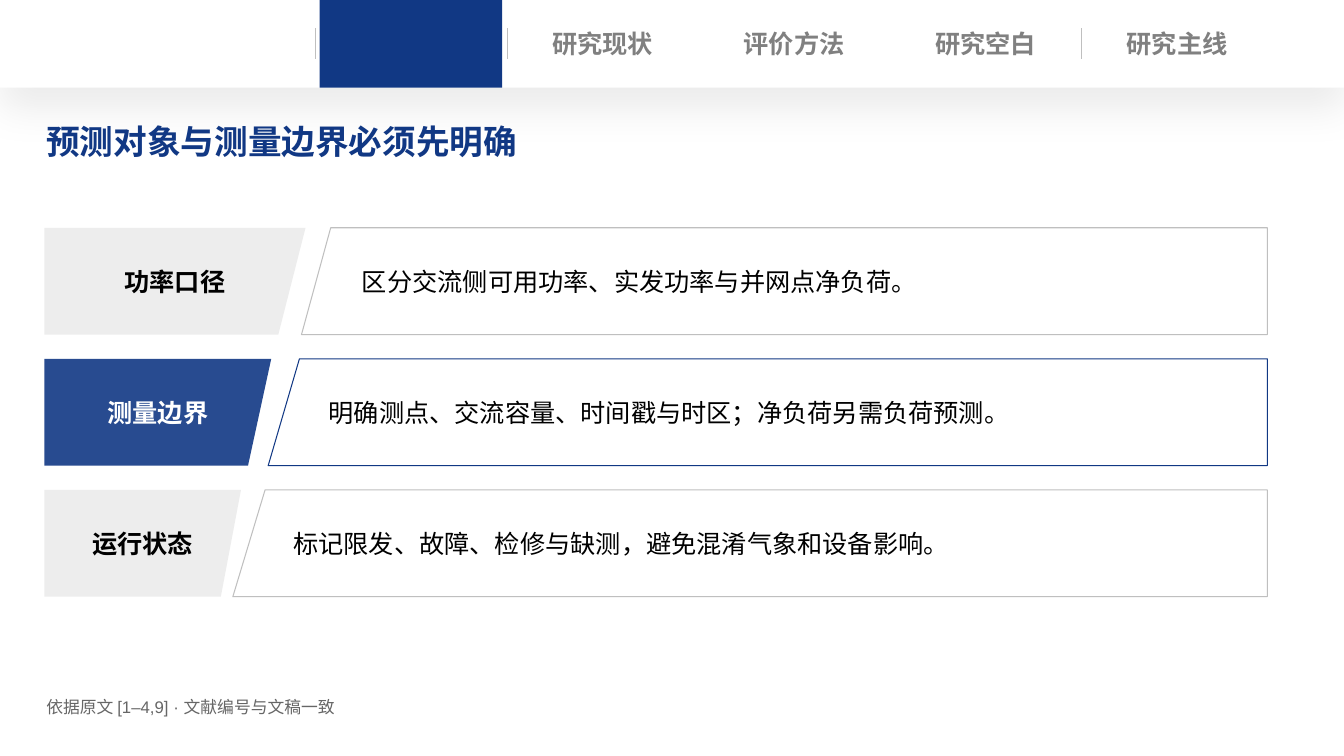
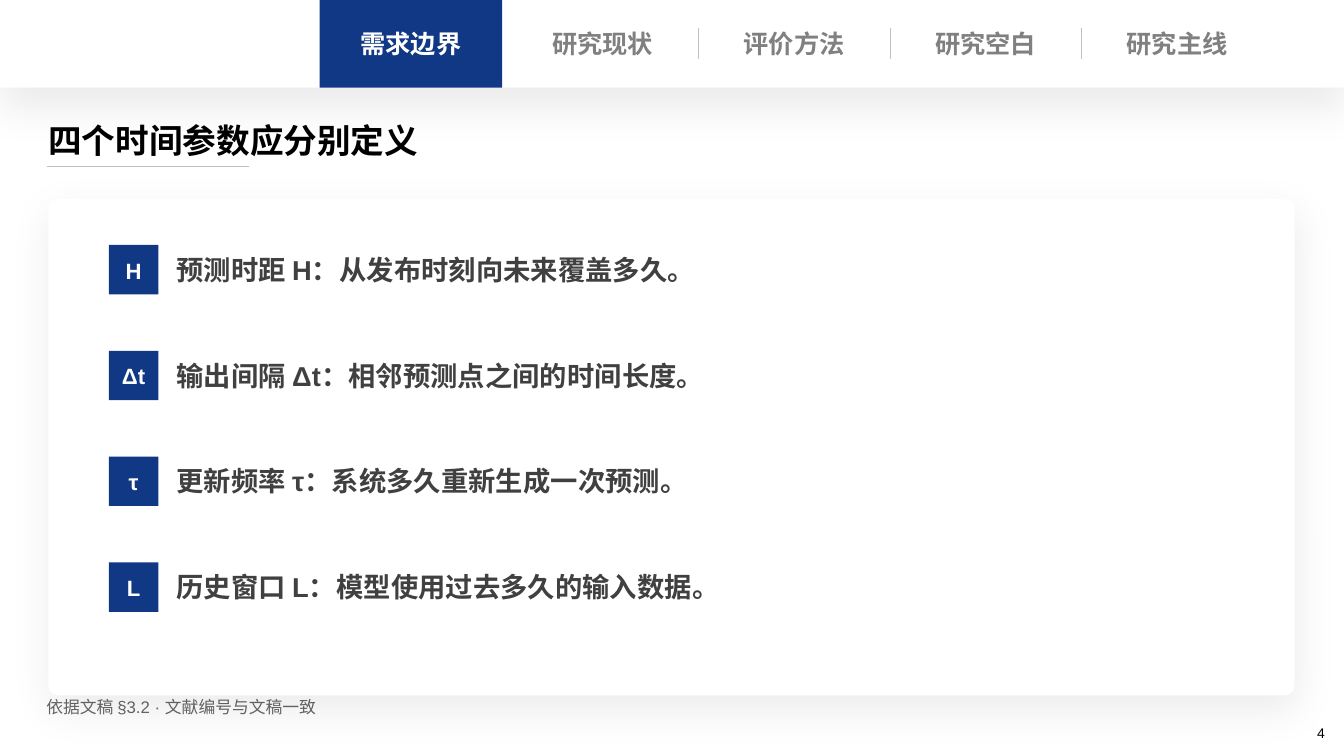
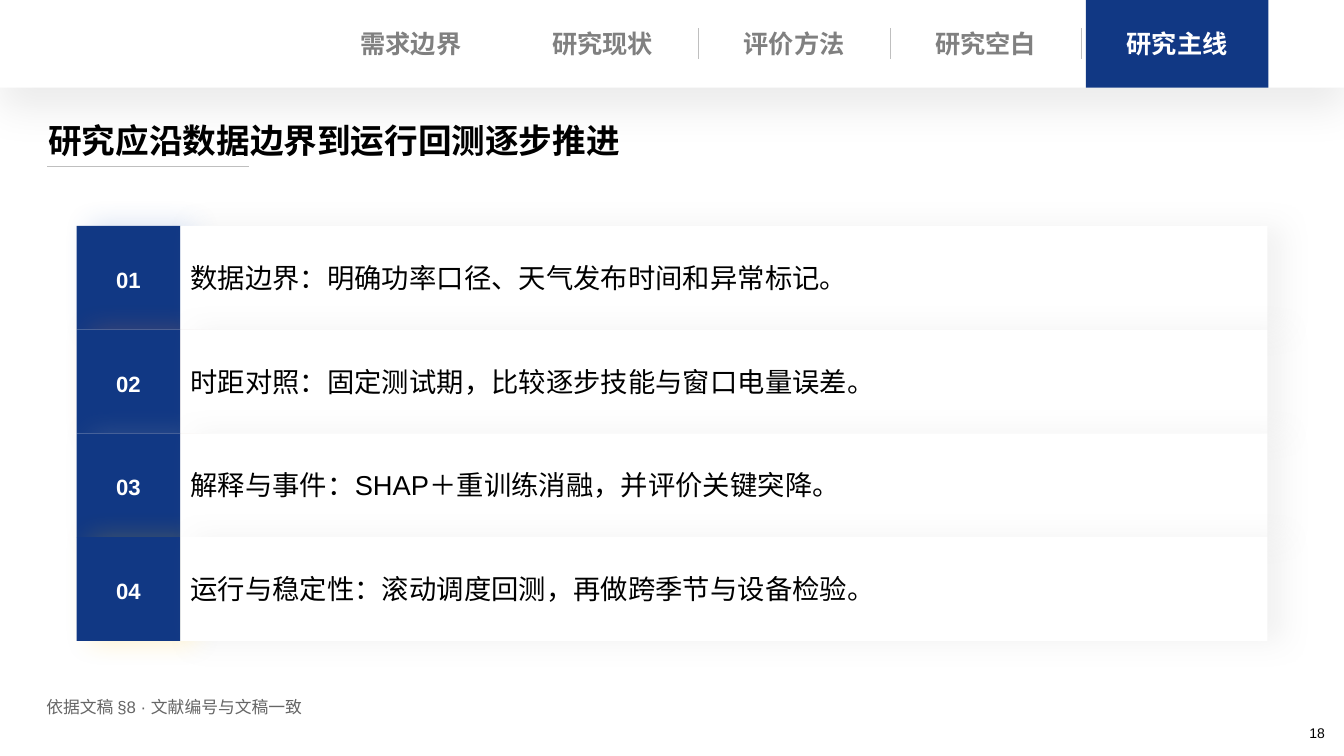
import pptx
import pptx.util
import pptx.dml.color
import pptx.enum.lang
import pptx.enum.shapes
import pptx.enum.text
import pptx.oxml
import pptx.oxml.ns

Inches = pptx.util.Inches
Pt = pptx.util.Pt
SHAPE = pptx.enum.shapes.MSO_SHAPE
ALIGN = pptx.enum.text.PP_ALIGN
qn = pptx.oxml.ns.qn

COLORS = {
    "navy": "113884", "white": "FFFFFF", "black": "000000", "tab": "808080",
    "rule": "BFBFBF", "pale": "EDEDED", "body": "404040", "source": "666666",
    "blue": "4472C4", "orange": "ED7D31", "gray": "A5A5A5", "gold": "FFC000",
    "haze": "A6A6A6",
}
FONT = {"name": "Arial", "bold": False,
        "language_id": pptx.enum.lang.MSO_LANGUAGE_ID.SIMPLIFIED_CHINESE}

TABS = ["需求边界", "研究现状", "评价方法", "研究空白", "研究主线"]
TAB_LEFT, TAB_STEP, TAB_WIDTH, BAND_HEIGHT = 3.17, 1.9, 1.81, 0.87

SCOPE = {
    "title": "预测对象与测量边界必须先明确",
    "source": "依据原文 [1–4,9] · 文献编号与文稿一致",
    "rows": [
        ("功率口径", "区分交流侧可用功率、实发功率与并网点净负荷。", (3.03, 2.76, 3.28, 2.99)),
        ("测量边界", "明确测点、交流容量、时间戳与时区；净负荷另需负荷预测。", (2.69, 2.46, 2.97, 2.66)),
        ("运行状态", "标记限发、故障、检修与缺测，避免混淆气象和设备影响。", (2.39, 2.19, 2.63, 2.31)),
    ],
    "highlight": 1,
}
TIMING = {
    "title": "四个时间参数应分别定义",
    "source": "依据文稿 §3.2 · 文献编号与文稿一致",
    "number": "4",
    "rows": [
        ("H", "预测时距 H：从发布时刻向未来覆盖多久。"),
        ("Δt", "输出间隔 Δt：相邻预测点之间的时间长度。"),
        ("τ", "更新频率 τ：系统多久重新生成一次预测。"),
        ("L", "历史窗口 L：模型使用过去多久的输入数据。"),
    ],
}
ROADMAP = {
    "title": "研究应沿数据边界到运行回测逐步推进",
    "source": "依据文稿 §8 · 文献编号与文稿一致",
    "number": "18",
    "rows": [
        ("数据边界：明确功率口径、天气发布时间和异常标记。", "blue"),
        ("时距对照：固定测试期，比较逐步技能与窗口电量误差。", "orange"),
        ("解释与事件：SHAP＋重训练消融，并评价关键突降。", "gray"),
        ("运行与稳定性：滚动调度回测，再做跨季节与设备检验。", "gold"),
    ],
}


def rgb(name):
    return pptx.dml.color.RGBColor.from_string(COLORS[name])


def put_text(sp, text, size, color, inset=(0, 0, 0), align=ALIGN.LEFT, **font):
    tf = sp.text_frame
    left, top, right = inset
    frame = {"word_wrap": True, "auto_size": pptx.enum.text.MSO_AUTO_SIZE.NONE,
             "vertical_anchor": pptx.enum.text.MSO_ANCHOR.TOP,
             "margin_left": Inches(left), "margin_top": Inches(top),
             "margin_right": Inches(right), "margin_bottom": 0}
    for key, value in frame.items():
        setattr(tf, key, value)
    p = tf.paragraphs[0]
    p.alignment = align
    r = p.add_run()
    r.text = text
    for key, value in {**FONT, "size": Pt(size), **font}.items():
        setattr(r.font, key, value)
    r.font.color.rgb = rgb(color)


def add_label(s, box, text, size, color, **style):
    sp = s.shapes.add_textbox(*map(Inches, box))
    put_text(sp, text, size, color, **style)


def add_color_alpha(parent, percent):
    alpha = pptx.oxml.parse_xml(
        f'<a:alpha {pptx.oxml.ns.nsdecls("a")} val="{percent * 1000}"/>')
    parent.append(alpha)


def add_shadow(sp, color, alpha, blur, distance, angle):
    shadow = pptx.oxml.parse_xml(
        f'<a:outerShdw {pptx.oxml.ns.nsdecls("a")} blurRad="{Pt(blur)}" '
        f'dist="{Pt(distance)}" dir="{angle * 60000}" rotWithShape="0">'
        f'<a:srgbClr val="{COLORS[color]}"/></a:outerShdw>')
    add_color_alpha(shadow[0], alpha)
    sp._element.spPr.find(qn("a:effectLst")).append(shadow)


def paint(sp, fill=None, line=None):
    sp.shadow.inherit = False
    if fill:
        sp.fill.solid()
        sp.fill.fore_color.rgb = rgb(fill)
    else:
        sp.fill.background()
    if line:
        sp.line.color.rgb = rgb(line)
        sp.line.width = Pt(0.75)
    else:
        sp.line.fill.background()


def add_box(s, box, fill, shadow=None, kind=SHAPE.RECTANGLE):
    sp = s.shapes.add_shape(kind, *map(Inches, box))
    paint(sp, fill)
    if shadow:
        add_shadow(sp, *shadow)
    return sp


def add_outline(s, points, fill=None, line=None):
    start, *rest = [tuple(map(Inches, point)) for point in points]
    builder = s.shapes.build_freeform(*start)
    builder.add_line_segments(rest, close=True)
    sp = builder.convert_to_shape()
    paint(sp, fill, line)
    return sp


def add_rule(s, *ends):
    c = s.shapes.add_connector(pptx.enum.shapes.MSO_CONNECTOR.STRAIGHT, *map(Inches, ends))
    c.line.color.rgb = rgb("rule")
    c.line.width = Pt(0.75)
    c._element.spPr.append(pptx.oxml.parse_xml(
        f'<a:effectLst {pptx.oxml.ns.nsdecls("a")}/>'))


def add_slide(prs, content, active, separators, hidden_label=None):
    s = prs.slides.add_slide(prs.slide_layouts[5])
    add_box(s, (0, 0, 13.33, BAND_HEIGHT), "white", ("black", 8, 28, 15, 90))
    add_box(s, (TAB_LEFT + active * TAB_STEP, 0, TAB_WIDTH, BAND_HEIGHT), "navy")
    for i in separators:
        x = TAB_LEFT + i * TAB_STEP - 0.04
        add_rule(s, x, 0.28, x, 0.59)
    for i, tab in enumerate(TABS):
        if i != hidden_label:
            add_label(s, (TAB_LEFT + i * TAB_STEP, 0.23, TAB_WIDTH, 0.4), tab, 18,
                      "white" if i == active else "tab",
                      inset=(0, 0.05, 0), align=ALIGN.CENTER, bold=True)
    add_label(s, (0.46, 6.91, 3.32, 0.26), content["source"], 12, "source")
    if "number" in content:
        add_label(s, (10.24, 7.07, 3, 0.4), content["number"], 10, "black",
                  inset=(0, 0.12, 0.1), align=ALIGN.RIGHT)
    return s


def set_title(s, text, box, color, inset=(0, 0, 0)):
    sp = s.shapes.title
    for key, value in zip(("left", "top", "width", "height"), box):
        setattr(sp, key, Inches(value))
    put_text(sp, text, 24, color, inset=inset, bold=True)
    s.shapes._spTree.append(sp._element)


def set_ruled_title(s, text):
    set_title(s, text, (0.38, 1.14, 12.19, 0.56), "black", (0.1, 0.05, 0))
    add_rule(s, 0.47, 1.65, 2.47, 1.65)


def build_scope(prs):
    s = add_slide(prs, SCOPE, 0, (0, 1, 4), hidden_label=0)
    set_title(s, SCOPE["title"], (0.46, 1.2, 4.97, 0.51), "navy")
    left, right, height, step = 0.44, 12.57, 1.06, 1.3
    for i, (name, detail, edges) in enumerate(SCOPE["rows"]):
        top = 2.26 + i * step
        bottom = top + height
        label_top, label_bottom, detail_top, detail_bottom = edges
        strong = i == SCOPE["highlight"]
        sp = add_outline(s, [(detail_top, top), (right, top), (right, bottom),
                             (detail_bottom, bottom)], line="navy" if strong else "rule")
        put_text(sp, detail, 18, "black", inset=(0.6, 0.38, 0))
        sp = add_outline(s, [(left, top), (label_top, top), (label_bottom, bottom),
                             (left, bottom)], fill="navy" if strong else "pale")
        if strong:
            add_color_alpha(sp._element.spPr.find(qn("a:solidFill"))[0], 90)
        put_text(sp, name, 18, "white" if strong else "black",
                 inset=(0, 0.38, 0), align=ALIGN.CENTER, bold=True)


def build_timing(prs):
    s = add_slide(prs, TIMING, 0, (2, 3, 4))
    set_ruled_title(s, TIMING["title"])
    card = add_box(s, (0.48, 1.97, 12.36, 4.93), "white", ("black", 8, 30, 10, 80),
                   SHAPE.ROUNDED_RECTANGLE)
    card.adjustments[0] = 0.02
    for i, (symbol, meaning) in enumerate(TIMING["rows"]):
        top = 2.43 + i * 1.05
        sp = add_box(s, (1.08, top, 0.49, 0.49), "navy")
        put_text(sp, symbol, 15.8, "white", inset=(0, 0.12, 0), align=ALIGN.CENTER, bold=True)
        add_label(s, (1.75, top + 0.08, 10.63, 0.3), meaning, 19.5, "body", bold=True)


def build_roadmap(prs):
    s = add_slide(prs, ROADMAP, 4, (2, 3, 4))
    set_ruled_title(s, ROADMAP["title"])
    left, top, size, right = 0.76, 2.24, 1.03, 12.57
    for i, (_, glow) in enumerate(ROADMAP["rows"]):
        sp = add_box(s, (left, top + i * size, size, size), "navy", (glow, 24, 20, 10, 0))
        put_text(sp, f"{i + 1:02d}", 15.8, "white", inset=(0, 0.4, 0),
                 align=ALIGN.CENTER, bold=True)
    for i, (step, _) in enumerate(ROADMAP["rows"]):
        sp = add_box(s, (left + size, top + i * size, right - left - size, size), "white",
                     ("haze", 15, 20, 10, 0))
        put_text(sp, step, 19.5, "black", inset=(0.1, 0.35, 0))


def main():
    prs = pptx.Presentation()
    prs.slide_width, prs.slide_height = Inches(13.33), Inches(7.5)
    for build in (build_scope, build_timing, build_roadmap):
        build(prs)
    prs.save("out.pptx")


if __name__ == "__main__":
    main()
